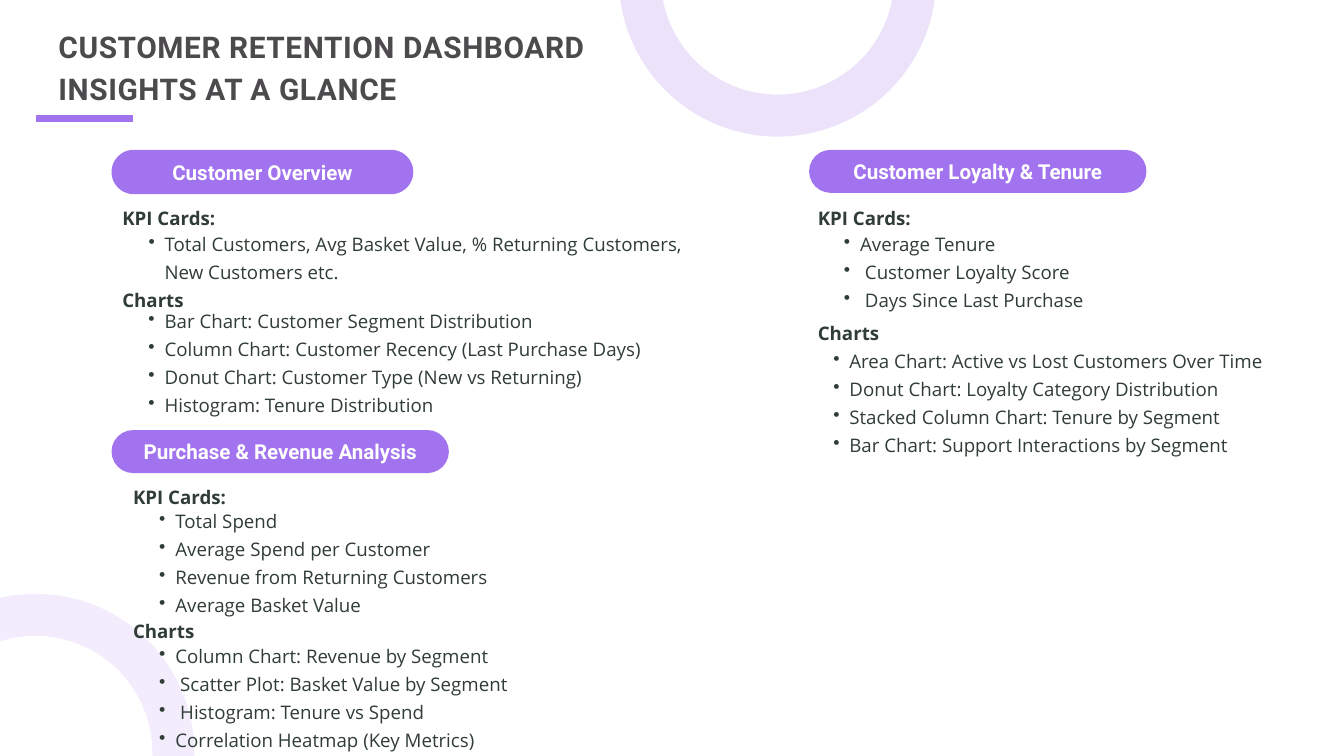
from dataclasses import dataclass

from lxml import etree
from pptx import Presentation
from pptx.dml.color import RGBColor
from pptx.enum.shapes import MSO_CONNECTOR, MSO_SHAPE
from pptx.enum.text import MSO_ANCHOR, MSO_AUTO_SIZE, PP_ALIGN
from pptx.oxml.ns import qn
from pptx.util import Pt

PX = 9144  # EMU per px, 100 px to the inch
STRAIGHT = MSO_CONNECTOR.STRAIGHT
OVAL, PILL = MSO_SHAPE.OVAL, MSO_SHAPE.ROUNDED_RECTANGLE
LEFT, CENTER, JUSTIFY = PP_ALIGN.LEFT, PP_ALIGN.CENTER, PP_ALIGN.JUSTIFY
MIDDLE = MSO_ANCHOR.MIDDLE
GROW = MSO_AUTO_SIZE.SHAPE_TO_FIT_TEXT

PURPLE, WHITE, TITLE_GREY, BODY_GREEN = "A273EF", "FFFFFF", "4C4A4D", "303C36"
HEADING_WIDTH = 1084
LINE_HEIGHT = 40


@dataclass
class Ring:
    x: int
    y: int
    opacity: int  # percent
    size: int = 410


@dataclass
class Block:
    heading: str
    heading_x: int
    heading_y: int
    list_x: int
    list_y: int
    list_width: int
    items: list[str]
    align: PP_ALIGN = JUSTIFY


@dataclass
class Section:
    title: str
    x: int
    y: int
    width: int
    height: int
    blocks: list[Block]


RINGS = [Ring(952, -238, 20), Ring(-152, 915, 13)]

SECTIONS = [
    Section("Customer Overview", 166, 223, 449, 66, [
        Block("KPI Cards:", 182, 299, 198, 338, 822, [
            "Total Customers, Avg Basket Value, % Returning Customers, New Customers etc.",
        ], LEFT),
        Block("Charts", 182, 421, 198, 453, 1084, [
            "Bar Chart: Customer Segment Distribution",
            "Column Chart: Customer Recency (Last Purchase Days)",
            "Donut Chart: Customer Type (New vs Returning)",
            "Histogram: Tenure Distribution",
        ]),
    ]),
    Section("Purchase & Revenue Analysis", 166, 640, 502, 64, [
        Block("KPI Cards:", 198, 714, 214, 751, 877, [
            "Total Spend",
            "Average Spend per Customer",
            "Revenue from Returning Customers",
            "Average Basket Value",
        ], LEFT),
        Block("Charts", 198, 914, 214, 951, 1084, [
            "Column Chart: Revenue by Segment",
            " Scatter Plot: Basket Value by Segment",
            " Histogram: Tenure vs Spend",
            "Correlation Heatmap (Key Metrics)",
        ]),
    ]),
    Section("Customer Loyalty & Tenure", 1204, 223, 502, 64, [
        Block("KPI Cards:", 1217, 299, 1233, 338, 877, [
            "Average Tenure",
            " Customer Loyalty Score",
            " Days Since Last Purchase",
        ], LEFT),
        Block("Charts", 1217, 471, 1217, 513, 1084, [
            "Area Chart: Active vs Lost Customers Over Time",
            "Donut Chart: Loyalty Category Distribution",
            "Stacked Column Chart: Tenure by Segment",
            "Bar Chart: Support Interactions by Segment",
        ]),
    ]),
]


def px(n: int) -> int:
    return n * PX


def rgb(color: str) -> RGBColor:
    return RGBColor.from_string(color)


def style(p, align: PP_ALIGN, spacing: float, font: str, size: int,
          color: str, bold: bool) -> None:
    p.alignment = align
    p.line_spacing = Pt(spacing)
    p.font.name, p.font.size, p.font.bold = font, Pt(size), bold
    p.font.color.rgb = rgb(color)


def add_bullet(p) -> None:
    p.level = 1
    pPr = p._p.get_or_add_pPr()
    pPr.set("marL", str(px(47)))
    pPr.set("indent", str(px(-24)))
    bullet = etree.Element(qn("a:buChar"), char="•")
    pPr.find(qn("a:defRPr")).addprevious(bullet)


def add_text_frame(s, x: int, y: int, width: int, height: int):
    tf = s.shapes.add_textbox(px(x), px(y), px(width), px(height)).text_frame
    tf.word_wrap = True
    tf.auto_size = GROW
    tf.margin_left = tf.margin_top = tf.margin_right = tf.margin_bottom = 0
    return tf


def add_ring(s, ring: Ring) -> None:
    sp = s.shapes.add_shape(OVAL, px(ring.x), px(ring.y), px(ring.size), px(ring.size))
    sp.shadow.inherit = False
    sp.fill.background()
    sp.line.color.rgb = rgb(PURPLE)
    sp.line.width = Pt(45)
    color = sp.line._ln.find(".//" + qn("a:srgbClr"))
    etree.SubElement(color, qn("a:alpha"), val=str(ring.opacity * 1000))


def add_pill(s, section: Section) -> None:
    sp = s.shapes.add_shape(PILL, px(section.x), px(section.y),
                            px(section.width), px(section.height))
    sp.shadow.inherit = False
    sp.adjustments[0] = 0.5
    sp.fill.solid()
    sp.fill.fore_color.rgb = rgb(PURPLE)
    sp.line.fill.background()
    tf = sp.text_frame
    tf.word_wrap = True
    tf.vertical_anchor = MIDDLE
    tf.margin_left = tf.margin_right = px(6)
    tf.margin_top, tf.margin_bottom = 0, px(6)
    p = tf.paragraphs[0]
    p.text = section.title
    style(p, CENTER, 30.8, "Roboto", 22, WHITE, True)


def add_block(s, block: Block) -> None:
    tf = add_text_frame(s, block.heading_x, block.heading_y, HEADING_WIDTH, LINE_HEIGHT)
    p = tf.paragraphs[0]
    p.text = block.heading
    style(p, JUSTIFY, 30, "Open Sans", 20, BODY_GREEN, True)

    tf = add_text_frame(s, block.list_x, block.list_y, block.list_width,
                        LINE_HEIGHT * len(block.items))
    for i, item in enumerate(block.items):
        p = tf.add_paragraph() if i else tf.paragraphs[0]
        p.text = item
        style(p, block.align, 30, "Open Sans", 20, BODY_GREEN, False)
        add_bullet(p)


def add_title(s) -> None:
    rule = s.shapes.add_connector(STRAIGHT, px(54), px(177), px(198), px(177))
    rule.line.color.rgb = rgb(PURPLE)
    rule.line.width = Pt(7.5)
    etree.SubElement(rule._element.spPr, qn("a:effectLst"))

    p = add_text_frame(s, 87, 34, 991, 119).paragraphs[0]
    r = p.add_run()
    r.text = "CUSTOMER RETENTION DASHBOARD INSIGHTS AT A GLANCE"
    r._r.get_or_add_rPr().set("spc", "60")
    style(p, LEFT, 44.8, "Roboto", 32, TITLE_GREY, True)


def main() -> None:
    prs = Presentation()
    prs.slide_width, prs.slide_height = px(2000), px(1125)
    s = prs.slides.add_slide(prs.slide_layouts[6])

    # Background rings
    for ring in RINGS:
        add_ring(s, ring)

    # Title and its rule
    add_title(s)

    # Sections: a pill, then headed bullet lists
    for section in SECTIONS:
        add_pill(s, section)
        for block in section.blocks:
            add_block(s, block)

    prs.save("out.pptx")


if __name__ == "__main__":
    main()
